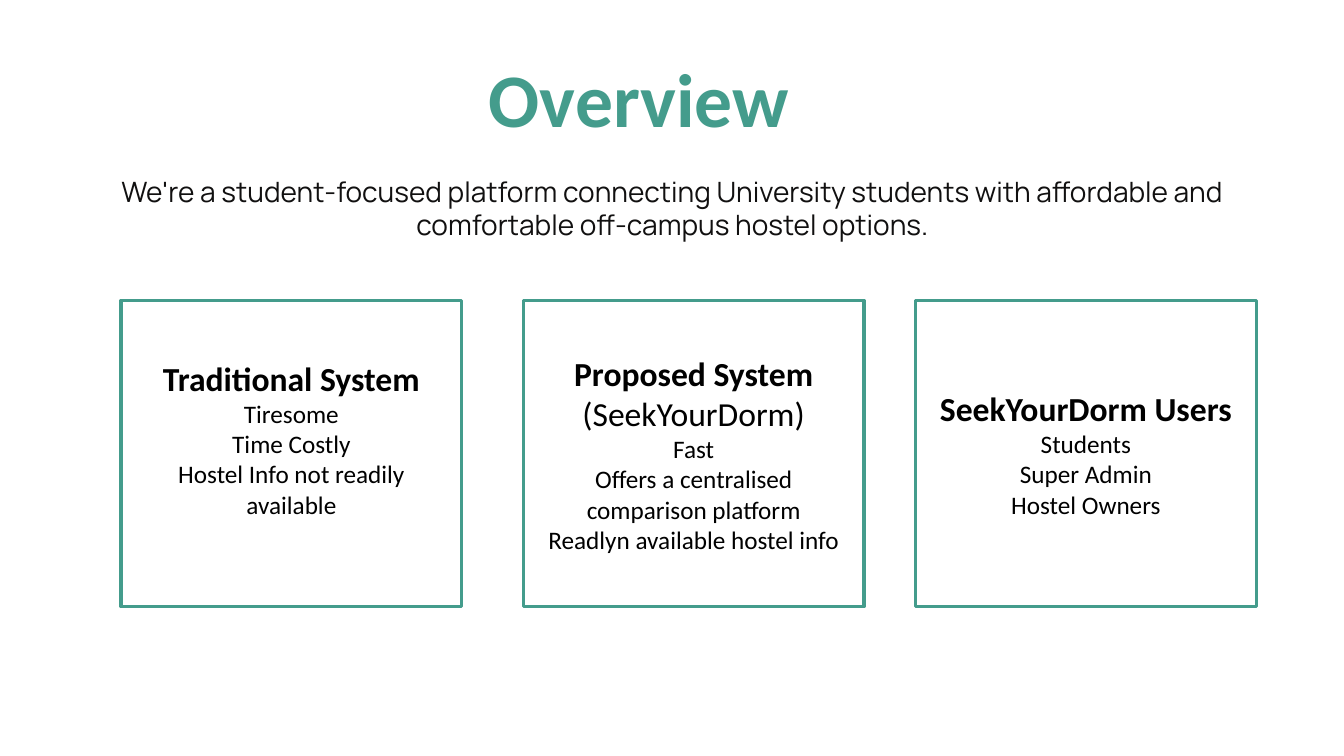
from dataclasses import dataclass

from pptx import Presentation
from pptx.dml.color import RGBColor
from pptx.enum.shapes import MSO_SHAPE
from pptx.enum.text import MSO_ANCHOR, PP_ALIGN
from pptx.util import Inches, Pt

RECT = MSO_SHAPE.RECTANGLE
MIDDLE = MSO_ANCHOR.MIDDLE
LEFT, CENTER = PP_ALIGN.LEFT, PP_ALIGN.CENTER
GREEN, INK, BLACK = "449C8C", "111010", "000000"


@dataclass
class Run:
    text: str
    size: int = 18
    bold: bool = False
    color: str = BLACK
    font: str = "Calibri"


@dataclass
class Card:
    left: float
    head: list[Run]
    points: list[str]
    bottom: float = 0.05


CARDS = [
    Card(1.2, [Run("Traditional System", 24, True)],
         ["Tiresome", "Time Costly", "Hostel Info not readily available"], 0.35),
    Card(5.19, [Run("Proposed System ", 24, True), Run("(SeekYourDorm)", 24)],
         ["Fast", "Offers a centralised comparison platform",
          "Readlyn available hostel info"]),
    Card(9.08, [Run("SeekYourDorm Users", 24, True)],
         ["Students", "Super Admin", "Hostel Owners"]),
]


def shade(code: str) -> RGBColor:
    return RGBColor.from_string(code)


def write(frame, lines: list[list[Run]], align: PP_ALIGN) -> None:
    frame.word_wrap = True
    for i, line in enumerate(lines):
        para = frame.paragraphs[0] if i == 0 else frame.add_paragraph()
        para.alignment = align
        for item in line:
            run = para.add_run()
            run.text = item.text
            run.font.name = item.font
            run.font.size = Pt(item.size)
            run.font.bold = item.bold
            run.font.color.rgb = shade(item.color)


def add_text(slide, left: float, top: float, width: float, height: float,
             run: Run, align: PP_ALIGN) -> None:
    box = slide.shapes.add_textbox(Inches(left), Inches(top),
                                   Inches(width), Inches(height))
    write(box.text_frame, [[run]], align)


def add_card(slide, card: Card) -> None:
    box = slide.shapes.add_shape(RECT, Inches(card.left), Inches(2.98),
                                 Inches(3.38), Inches(3.04))
    box.shadow.inherit = False
    box.fill.background()
    box.line.color.rgb = shade(GREEN)
    box.line.width = Pt(2.25)
    frame = box.text_frame
    frame.vertical_anchor = MIDDLE
    frame.margin_bottom = Inches(card.bottom)
    write(frame, [card.head] + [[Run(point)] for point in card.points], CENTER)


def main() -> None:
    deck = Presentation()
    deck.slide_width, deck.slide_height = Inches(13.33), Inches(7.5)
    slide = deck.slides.add_slide(deck.slide_layouts[6])

    # Title and summary
    add_text(slide, 4.75, 0.47, 3.35, 1.01,
             Run("Overview", 54, True, GREEN), LEFT)
    add_text(slide, 0.82, 1.68, 11.7, 0.77,
             Run("We're a student-focused platform connecting University "
                 "students with affordable and comfortable off-campus "
                 "hostel options.", 20, False, INK, "Manrope"), CENTER)

    # Three outlined cards
    for card in CARDS:
        add_card(slide, card)

    deck.save("out.pptx")


if __name__ == "__main__":
    main()
